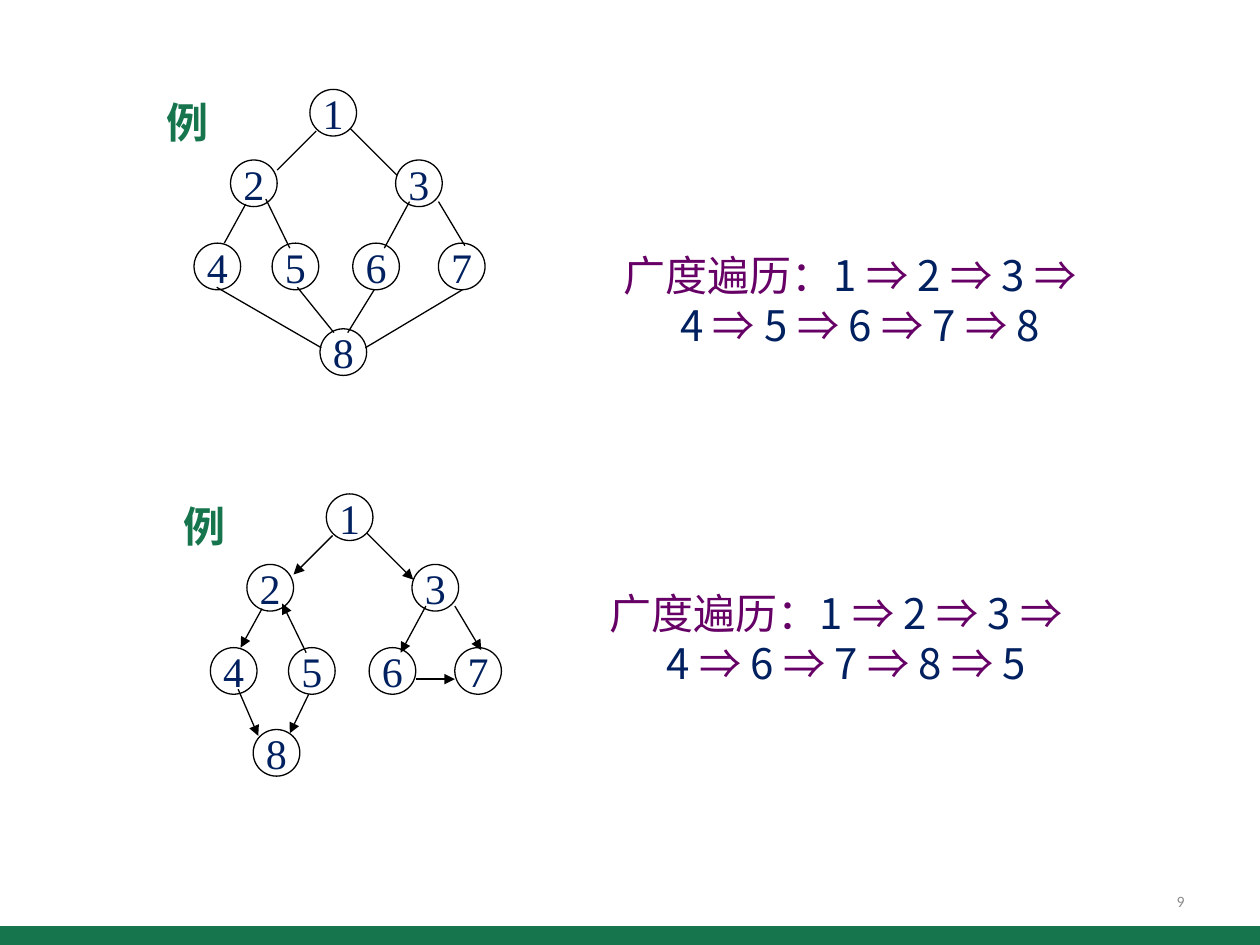
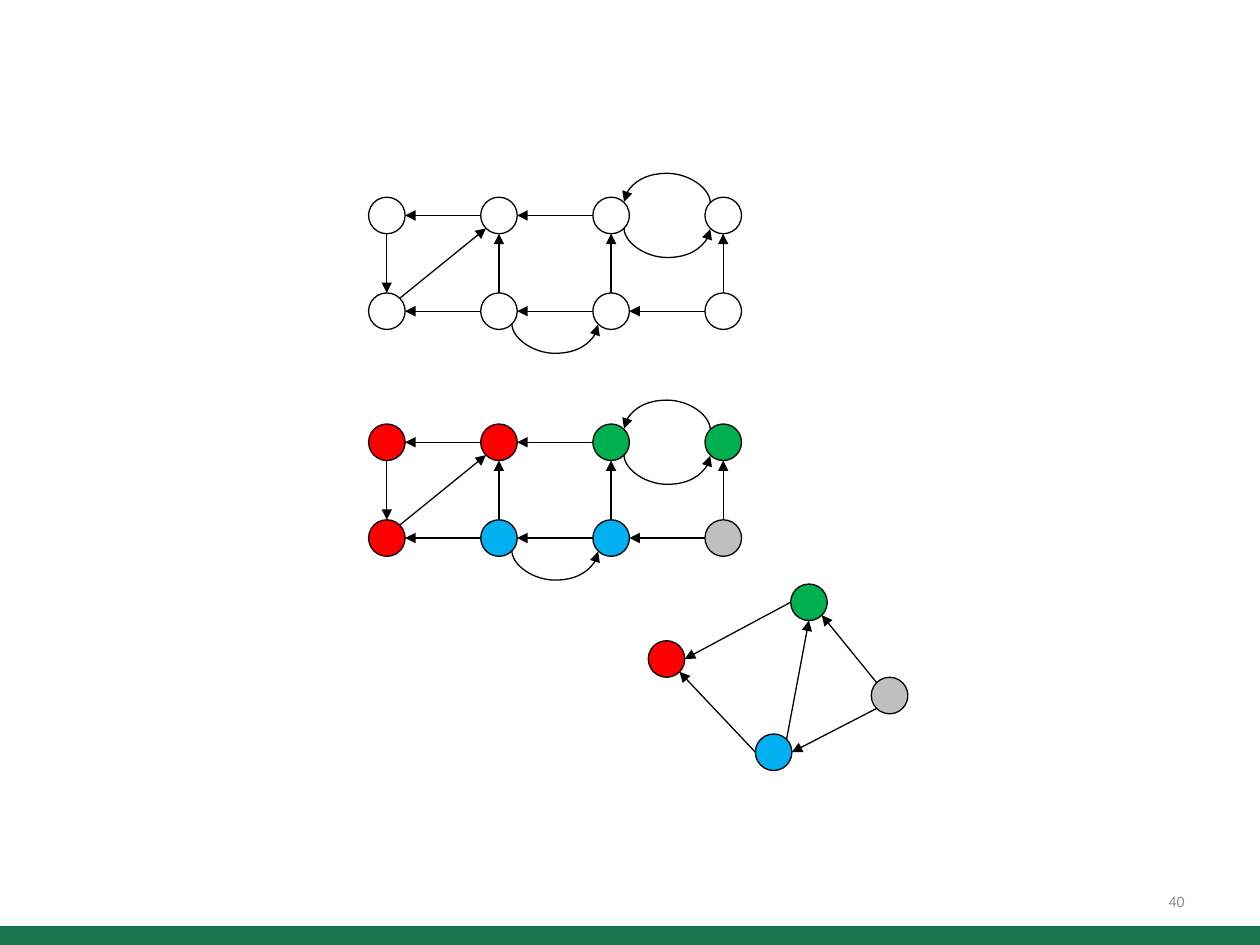
import math

import pptx
import pptx.dml.color
import pptx.enum.shapes
import pptx.enum.text
import pptx.oxml.ns
import pptx.util
from lxml import etree

RGBColor = pptx.dml.color.RGBColor
Inches = pptx.util.Inches
Pt = pptx.util.Pt
qn = pptx.oxml.ns.qn
SHAPE = pptx.enum.shapes.MSO_SHAPE
CONNECTOR = pptx.enum.shapes.MSO_CONNECTOR
ALIGN = pptx.enum.text.PP_ALIGN
ANCHOR = pptx.enum.text.MSO_ANCHOR

GREEN = RGBColor(0x16, 0x75, 0x4D)
NAVY = RGBColor(0x00, 0x20, 0x60)
PURPLE = RGBColor(0x66, 0x00, 0x66)
FOOTER_GRAY = RGBColor(0x8C, 0x8C, 0x8C)
BLACK = RGBColor(0, 0, 0)
WHITE = RGBColor(0xFF, 0xFF, 0xFF)
RED = RGBColor(0xFF, 0, 0)
BLUE = RGBColor(0x00, 0xB0, 0xF0)
LEAF = RGBColor(0x00, 0xB0, 0x50)
SILVER = RGBColor(0xBF, 0xBF, 0xBF)

CJK = "Noto Sans CJK SC"
SERIF = "Times New Roman"
LINE_WIDTH = Pt(0.75)

# Tree vertices (left, top) and edges (from, to), before a tree is shifted.
VERTEX_SIZE = 0.37
TREE_VERTICES = {
    1: (2.46, 0.71), 2: (1.83, 1.27), 3: (3.14, 1.27), 4: (1.54, 1.93),
    5: (2.16, 1.93), 6: (2.8, 1.93), 7: (3.48, 1.93),
}
TREE_EDGES = [
    ((2.51, 1.04), (2.2, 1.35)), ((2.78, 1.02), (3.15, 1.39)),
    ((1.95, 1.62), (1.78, 1.93)), ((2.3, 1.97), (2.11, 1.58)),
    ((3.25, 1.6), (3.05, 1.97)), ((3.48, 1.6), (3.69, 1.95)),
]

# Connection sites of an ellipse, counter-clockwise from the top.
(TOP, TOP_LEFT, LEFT, BOTTOM_LEFT,
 BOTTOM, BOTTOM_RIGHT, RIGHT, TOP_RIGHT) = range(8)
NODE_SIZE = 0.29
COLUMN_STEP, ROW_STEP = 0.89, 0.76
BULGE, THIN = 0.24, 0.01

# Nodes are (column, row) in a grid of 4 by 2.
GRID_EDGES = [
    ((1, 0), LEFT, (0, 0), RIGHT), ((2, 0), LEFT, (1, 0), RIGHT),
    ((1, 1), TOP, (1, 0), BOTTOM), ((2, 1), TOP, (2, 0), BOTTOM),
    ((3, 1), TOP, (3, 0), BOTTOM), ((0, 0), BOTTOM, (0, 1), TOP),
    ((1, 1), LEFT, (0, 1), RIGHT), ((2, 1), LEFT, (1, 1), RIGHT),
    ((3, 1), LEFT, (2, 1), RIGHT), ((0, 1), TOP_RIGHT, (1, 0), BOTTOM_LEFT),
]
GRID_ARCS = [
    ((3, 0), TOP_LEFT, (2, 0), TOP_RIGHT),
    ((2, 0), BOTTOM_RIGHT, (3, 0), BOTTOM_LEFT),
    ((1, 1), BOTTOM_RIGHT, (2, 1), BOTTOM_LEFT),
]
COMPONENT_COLORS = {
    (0, 0): RED, (1, 0): RED, (0, 1): RED, (1, 1): BLUE, (2, 1): BLUE,
    (2, 0): LEAF, (3, 0): LEAF, (3, 1): SILVER,
}
COMPONENTS = {
    RED: (5.29, 5.23), BLUE: (6.14, 5.97), LEAF: (6.42, 4.78), SILVER: (7.06, 5.52),
}
COMPONENT_EDGES = [
    (LEAF, LEFT, RED, RIGHT), (SILVER, TOP_LEFT, LEAF, BOTTOM_RIGHT),
    (SILVER, BOTTOM_LEFT, BLUE, RIGHT), (BLUE, LEFT, RED, BOTTOM_RIGHT),
    (BLUE, TOP_RIGHT, LEAF, BOTTOM),
]


def set_font(paragraph, face, size, color=None, bold=False):
    font = paragraph.font
    font.name, font.size, font.bold = face, Pt(size), bold
    if color is not None:
        font.color.rgb = color
    properties = paragraph._p.pPr.find(qn("a:defRPr"))
    properties.find(qn("a:latin")).addnext(
        etree.Element(qn("a:ea"), typeface=face))


def add_text(slide, box, text, face, size, color, align, bold=False):
    frame = slide.shapes.add_textbox(*map(Inches, box)).text_frame
    frame.word_wrap = True
    frame.vertical_anchor = ANCHOR.MIDDLE
    paragraph = frame.paragraphs[0]
    paragraph.text = text
    paragraph.alignment = align
    set_font(paragraph, face, size, color, bold)


def add_slide(prs, number):
    """Add a blank slide with the green band and its slide number."""
    slide = prs.slides.add_slide(prs.slide_layouts[6])
    band = slide.shapes.add_shape(
        SHAPE.RECTANGLE, 0, Inches(7.35), prs.slide_width, Inches(0.18))
    band.shadow.inherit = False
    band.fill.solid()
    band.fill.fore_color.rgb = GREEN
    band.line.fill.background()
    add_text(slide, (7.17, 6.95, 2.33, 0.4), str(number), "Calibri", 9,
             FOOTER_GRAY, ALIGN.RIGHT)
    return slide


def add_circle(slide, left, top, size, fill=None):
    circle = slide.shapes.add_shape(
        SHAPE.OVAL, Inches(left), Inches(top), Inches(size), Inches(size))
    circle.shadow.inherit = False
    if fill is None:
        circle.fill.background()
    else:
        circle.fill.solid()
        circle.fill.fore_color.rgb = fill
    circle.line.color.rgb = BLACK
    circle.line.width = LINE_WIDTH
    return circle


def add_vertex(slide, left, top, number):
    frame = add_circle(slide, left, top, VERTEX_SIZE).text_frame
    frame.margin_left = frame.margin_right = 0
    frame.margin_top = frame.margin_bottom = 0
    frame.word_wrap = False
    frame.vertical_anchor = ANCHOR.MIDDLE
    paragraph = frame.paragraphs[0]
    paragraph.text = str(number)
    paragraph.alignment = ALIGN.CENTER
    set_font(paragraph, SERIF, 24, NAVY)


def add_line(slide, start, end, arrow=True, kind=CONNECTOR.STRAIGHT):
    line = slide.shapes.add_connector(kind, *map(Inches, (*start, *end)))
    line.line.color.rgb = BLACK
    line.line.width = LINE_WIDTH
    properties = line._element.spPr
    if arrow:
        etree.SubElement(properties.find(qn("a:ln")), qn("a:tailEnd"), type="triangle")
    etree.SubElement(properties, qn("a:effectLst"))
    return line


def site_point(node, site):
    angle = math.radians(90 + 45 * site)
    radius = node.width / 2
    return ((node.left + radius + radius * math.cos(angle)) / Inches(1),
            (node.top + radius - radius * math.sin(angle)) / Inches(1))


def glue(line, source, source_site, target, target_site):
    joints = line._element.nvCxnSpPr.cNvCxnSpPr
    for tag, node, site in (("a:stCxn", source, source_site),
                            ("a:endCxn", target, target_site)):
        etree.SubElement(joints, qn(tag), id=str(node.shape_id), idx=str(site))


def add_edge(slide, source, source_site, target, target_site):
    line = add_line(slide, site_point(source, source_site),
                    site_point(target, target_site))
    glue(line, source, source_site, target, target_site)


def add_arc(slide, source, source_site, target, target_site):
    """Join two level sites by a curve: above when leftward, below when rightward."""
    start, end = site_point(source, source_site), site_point(target, target_site)
    arc = add_line(slide, start, end, kind=CONNECTOR.CURVE)
    span = abs(end[0] - start[0])
    arc.left = Inches((start[0] + end[0] - THIN) / 2)
    arc.top = Inches((start[1] + end[1] - span) / 2)
    arc.width, arc.height = Inches(THIN), Inches(span)
    properties = arc._element.spPr
    frame = properties.find(qn("a:xfrm"))
    for flip in ("flipH", "flipV"):
        frame.attrib.pop(flip, None)
    frame.set("rot", str(270 * 60000))
    frame.set("flipV" if end[0] < start[0] else "flipH", "1")
    geometry = properties.find(qn("a:prstGeom"))
    adjustments = geometry.find(qn("a:avLst"))
    if adjustments is None:
        adjustments = etree.SubElement(geometry, qn("a:avLst"))
    etree.SubElement(adjustments, qn("a:gd"), name="adj1",
                     fmla=f"val {round(BULGE / THIN * 100000)}")
    glue(arc, source, source_site, target, target_site)


def add_tree(slide, shift, last_vertex, extra_edges, arrows):
    """Draw the shared seven vertices, then vertex 8 and its own edges."""
    dx, dy = shift
    for number, (left, top) in TREE_VERTICES.items():
        add_vertex(slide, left + dx, top + dy, number)
    add_vertex(slide, *last_vertex, 8)
    for (x1, y1), (x2, y2) in TREE_EDGES:
        add_line(slide, (x1 + dx, y1 + dy), (x2 + dx, y2 + dy), arrows)
    for start, end in extra_edges:
        add_line(slide, start, end, arrows)
    add_text(slide, (1.22 + dx, 0.71 + dy, 0.54, 0.51), "例", CJK, 24,
             GREEN, ALIGN.CENTER, bold=True)


def add_traversal(slide, left, top, order):
    frame = slide.shapes.add_textbox(
        Inches(left), Inches(top), Inches(4.72), Inches(0.91)).text_frame
    frame.word_wrap = True
    paragraph = frame.paragraphs[0]
    hanging = paragraph._p.get_or_add_pPr()
    hanging.set("marL", str(Inches(0.45)))
    hanging.set("indent", str(-Inches(0.45)))
    pieces = [("广度遍历：", PURPLE)]
    for position, number in enumerate(order):
        if position == 3:
            pieces.append((" ⇒", PURPLE))
        elif position:
            pieces.append((" ⇒ ", PURPLE))
        pieces.append((str(number), NAVY))
    for position, (text, color) in enumerate(pieces):
        run = paragraph.add_run()
        run.text = text
        run.font.color.rgb = color
        if text == " ⇒":
            paragraph.add_line_break()
    set_font(paragraph, CJK, 24)


def add_grid_graph(slide, top, colors):
    nodes = {}
    for column in range(4):
        for row in range(2):
            center_x, center_y = 3.07 + column * COLUMN_STEP, top + row * ROW_STEP
            nodes[column, row] = add_circle(
                slide, center_x - NODE_SIZE / 2, center_y - NODE_SIZE / 2,
                NODE_SIZE, colors.get((column, row), WHITE))
    for draw, edges in ((add_edge, GRID_EDGES), (add_arc, GRID_ARCS)):
        for source, source_site, target, target_site in edges:
            draw(slide, nodes[source], source_site, nodes[target], target_site)


def add_component_graph(slide):
    nodes = {
        color: add_circle(slide, x - NODE_SIZE / 2, y - NODE_SIZE / 2, NODE_SIZE, color)
        for color, (x, y) in COMPONENTS.items()
    }
    for source, source_site, target, target_site in COMPONENT_EDGES:
        add_edge(slide, nodes[source], source_site, nodes[target], target_site)


def main():
    prs = pptx.Presentation()
    prs.slide_width, prs.slide_height = Inches(10), Inches(7.5)

    traversal = add_slide(prs, 9)
    add_tree(traversal, (0, 0), (2.54, 2.61), [
        ((2.36, 2.28), (2.65, 2.64)), ((2.97, 2.3), (2.76, 2.64)),
        ((1.72, 2.28), (2.55, 2.76)), ((3.67, 2.3), (2.9, 2.76)),
    ], arrows=False)
    add_traversal(traversal, 4.85, 1.93, [1, 2, 3, 4, 5, 6, 7, 8])
    add_tree(traversal, (0.13, 3.21), (2.01, 5.79), [
        ((1.89, 5.47), (2.05, 5.84)), ((2.45, 5.51), (2.3, 5.82)),
        ((3.3, 5.39), (3.61, 5.39)),
    ], arrows=True)
    add_traversal(traversal, 4.74, 4.61, [1, 2, 3, 4, 6, 7, 8, 5])

    components = add_slide(prs, 40)
    add_grid_graph(components, 1.71, {})
    add_grid_graph(components, 3.51, COMPONENT_COLORS)
    add_component_graph(components)

    prs.save("out.pptx")


if __name__ == "__main__":
    main()
